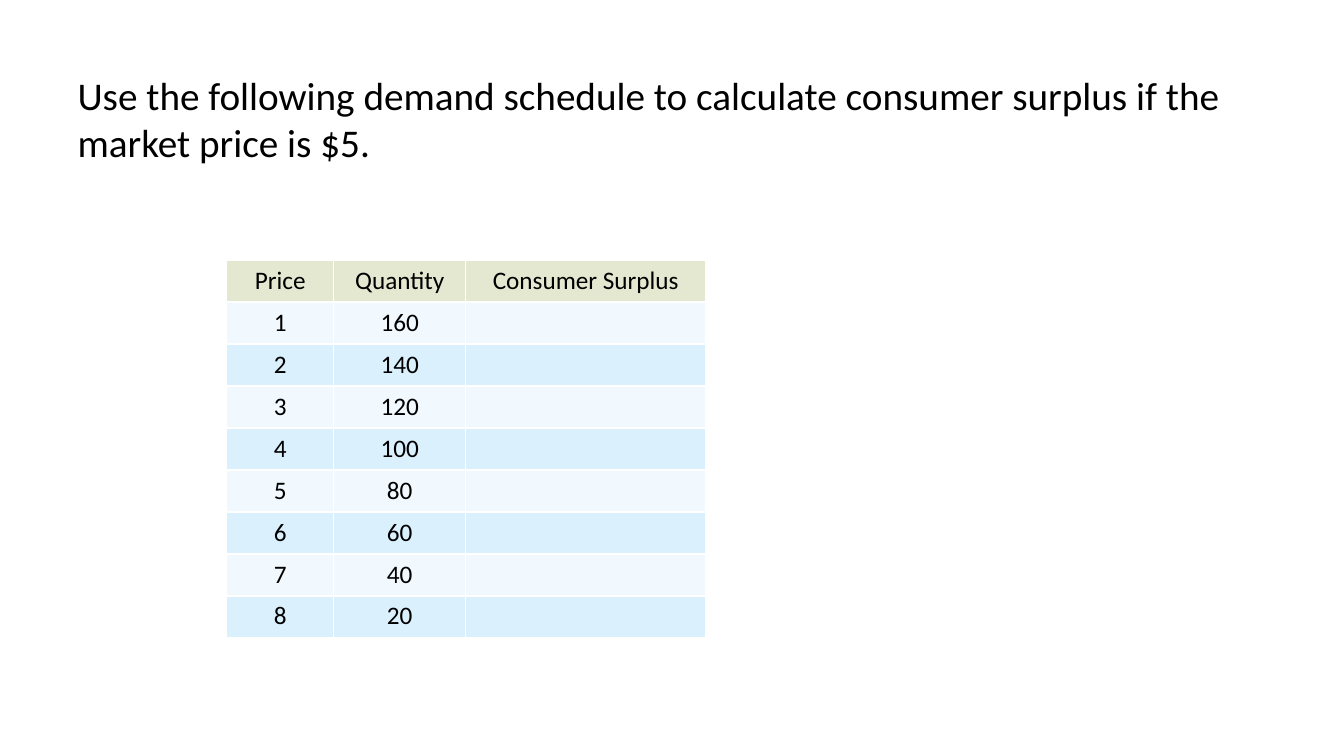
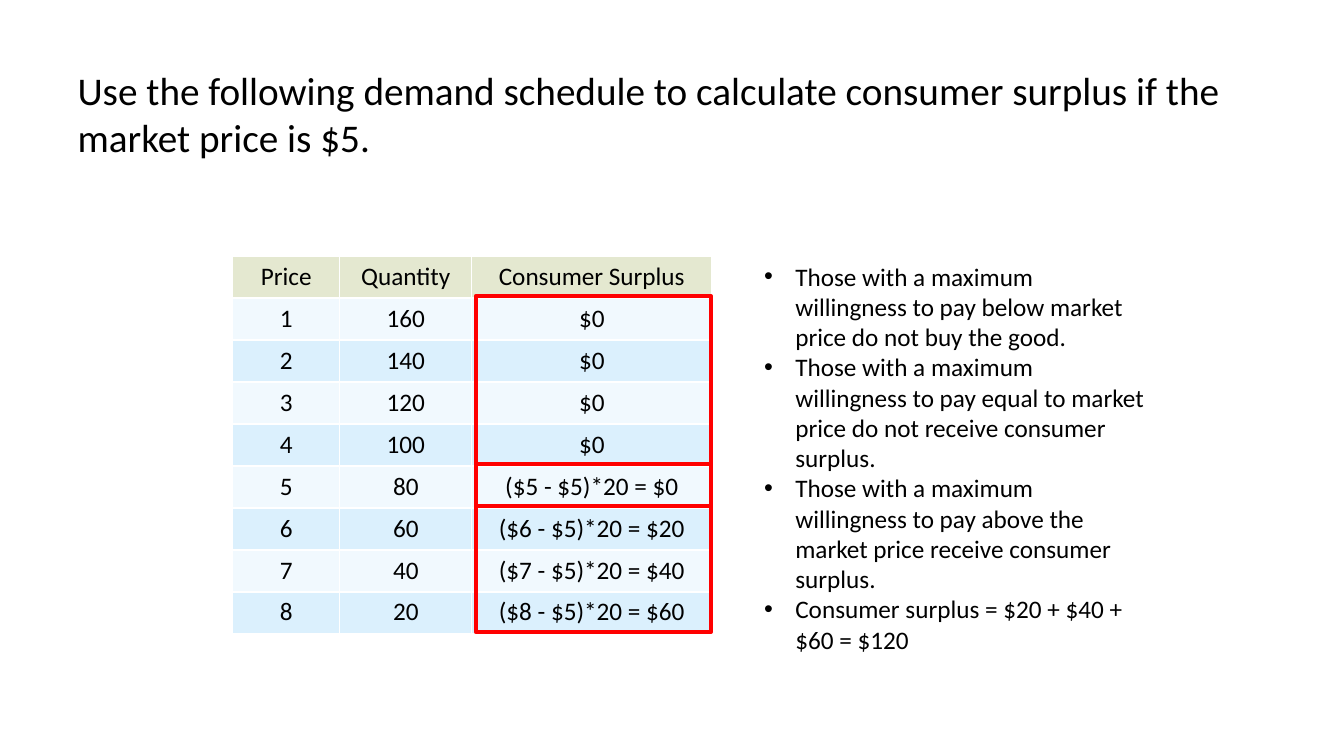
from lxml.etree import SubElement
from pptx import Presentation
from pptx.dml.color import RGBColor
from pptx.enum.shapes import MSO_SHAPE
from pptx.enum.text import MSO_ANCHOR, MSO_AUTO_SIZE, PP_ALIGN
from pptx.oxml.ns import qn
from pptx.util import Inches, Pt

COLORS = {
    "text": "000000",
    "header": "E4E8D0",
    "odd": "F1F9FE",
    "even": "DBF0FD",
    "highlight": "FF0000",
}
FONT = "Calibri"
TITLE = "Use the following demand schedule to calculate consumer surplus if the market price is $5."
TITLE_BOTTOM = 6.91
HEADERS = ["Price", "Quantity", "Consumer Surplus"]
COLUMN_WIDTHS = [1.06, 1.31, 2.38]
TABLE_HEIGHT = 3.75
ROW_HEIGHT = TABLE_HEIGHT / 9
QUANTITIES = range(160, 0, -20)
SURPLUSES = ["$0"] * 4 + [
    f"(${price} - $5)*20 = ${(price - 5) * 20}" for price in range(5, 9)
]
PRICE_GROUPS = [(1, 4), (5, 5), (6, 8)]
NOTES = [
    "Those with a maximum willingness to pay below market price do not buy the good.",
    "Those with a maximum willingness to pay equal to market price do not receive consumer surplus.",
    "Those with a maximum willingness to pay above the market price receive consumer surplus.",
    "Consumer surplus = $20 + $40 + $60 = $120",
]


def color(name):
    """Return the named palette colour."""
    return RGBColor.from_string(COLORS[name])


def style_paragraph(para, size, align=PP_ALIGN.LEFT):
    """Apply the shared font to a paragraph."""
    para.alignment = align
    para.font.name = FONT
    para.font.size = Pt(size)
    para.font.bold = False
    para.font.color.rgb = color("text")


def add_page(deck, top):
    """Add a slide with the question as its title."""
    page = deck.slides.add_slide(deck.slide_layouts[5])
    title = page.shapes.title
    title.left, title.top = Inches(0.67), Inches(top)
    title.width, title.height = Inches(12), Inches(TITLE_BOTTOM - top)
    title.text_frame.text = TITLE
    title.text_frame.vertical_anchor = MSO_ANCHOR.TOP
    style_paragraph(title.text_frame.paragraphs[0], 28)
    return page


def add_schedule(page, left, top, surpluses):
    """Add the demand schedule with the given surplus column."""
    rows = [HEADERS, *zip(range(1, 9), QUANTITIES, surpluses)]
    table = page.shapes.add_table(
        len(rows), len(HEADERS), Inches(left), Inches(top),
        Inches(sum(COLUMN_WIDTHS)), Inches(TABLE_HEIGHT),
    ).table
    for column, width in zip(table.columns, COLUMN_WIDTHS):
        column.width = Inches(width)
    for row_index, values in enumerate(rows):
        table.rows[row_index].height = Inches(ROW_HEIGHT)
        fill = "header" if row_index == 0 else ("even", "odd")[row_index % 2]
        for column_index, value in enumerate(values):
            cell = table.cell(row_index, column_index)
            cell.fill.solid()
            cell.fill.fore_color.rgb = color(fill)
            cell.text = str(value)
            style_paragraph(cell.text_frame.paragraphs[0], 18, PP_ALIGN.CENTER)


def add_highlights(page, left, top):
    """Outline the groups of surplus cells in the schedule at left, top."""
    column_left = left + sum(COLUMN_WIDTHS[:2])
    for first, last in PRICE_GROUPS:
        box = page.shapes.add_shape(
            MSO_SHAPE.RECTANGLE,
            Inches(column_left + 0.04), Inches(top + first * ROW_HEIGHT - 0.02),
            Inches(COLUMN_WIDTHS[2] - 0.05), Inches((last - first + 1) * ROW_HEIGHT),
        )
        box.shadow.inherit = False
        box.fill.background()
        box.line.color.rgb = color("highlight")
        box.line.width = Pt(3)


def add_notes(page, left, top, width, height):
    """Add the bulleted explanation."""
    box = page.shapes.add_textbox(Inches(left), Inches(top), Inches(width), Inches(height))
    frame = box.text_frame
    frame.word_wrap = True
    frame.auto_size = MSO_AUTO_SIZE.SHAPE_TO_FIT_TEXT
    for index, note in enumerate(NOTES):
        para = frame.add_paragraph() if index else frame.paragraphs[0]
        para.text = note
        properties = para._p.get_or_add_pPr()
        properties.set("marL", str(Inches(0.31)))
        properties.set("indent", str(Inches(-0.31)))
        SubElement(properties, qn("a:buFont"), typeface="Arial")
        SubElement(properties, qn("a:buChar"), char="•")
        style_paragraph(para, 18)


def build_question(deck):
    """Build the slide with an empty surplus column."""
    page = add_page(deck, 0.66)
    add_schedule(page, 2.25, 2.58, [""] * len(SURPLUSES))


def build_answer(deck):
    """Build the slide with the surplus worked out."""
    page = add_page(deck, 0.61)
    left, top = 2.31, 2.54
    add_schedule(page, left, top, SURPLUSES)
    add_notes(page, 7.48, top, 3.98, 4.34)
    add_highlights(page, left, top)


def main():
    """Build and save the deck."""
    deck = Presentation()
    deck.slide_width, deck.slide_height = Inches(13.33), Inches(7.5)
    build_question(deck)
    build_answer(deck)
    deck.save("out.pptx")


if __name__ == "__main__":
    main()
